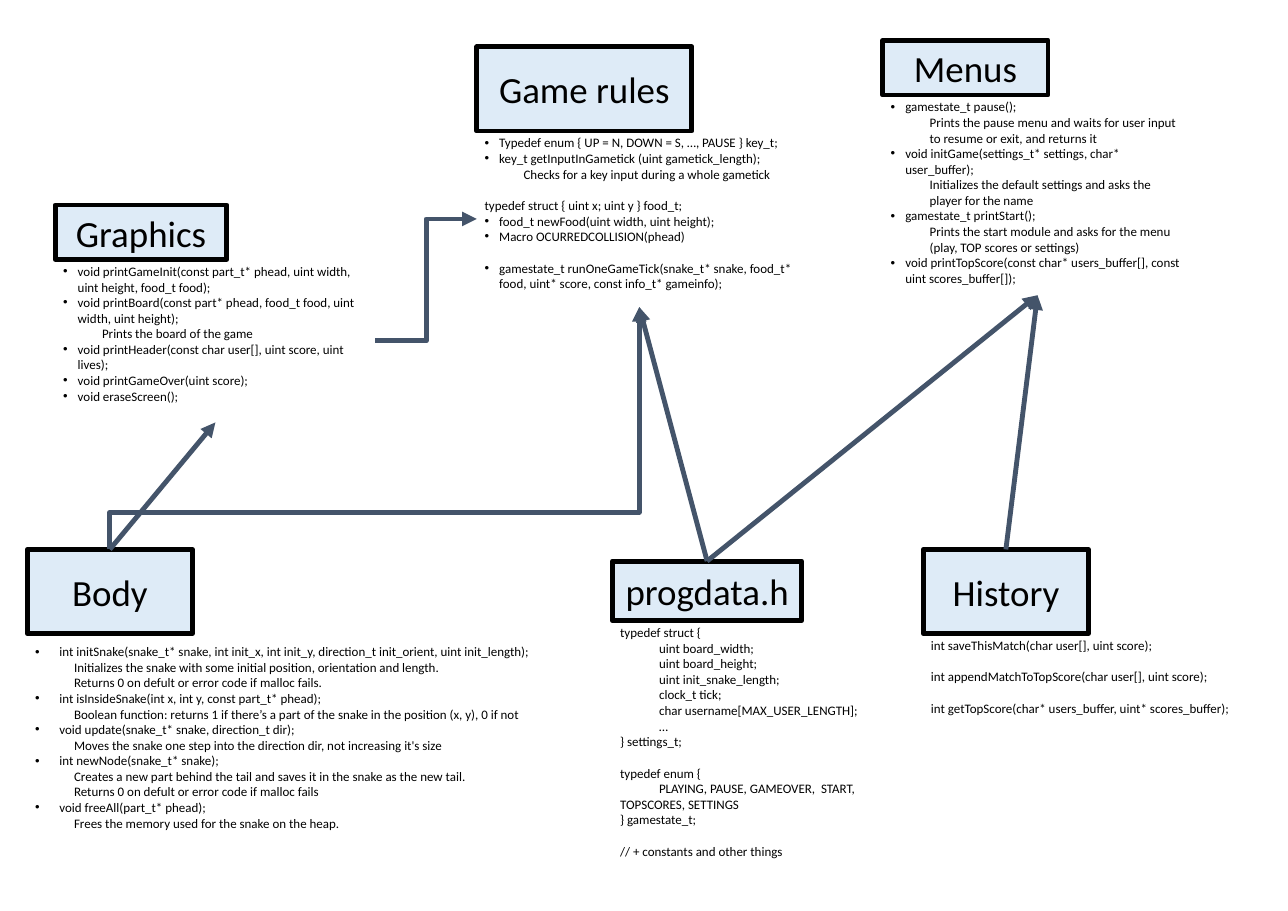
from dataclasses import dataclass
from enum import Enum
from typing import Any

import lxml.etree
import pptx
import pptx.dml.color
import pptx.enum.shapes
import pptx.enum.text
import pptx.oxml.ns
import pptx.util

Pt = pptx.util.Pt
qn = pptx.oxml.ns.qn
Anchor = pptx.enum.text.MSO_ANCHOR
Align = pptx.enum.text.PP_ALIGN
TOP, BOTTOM = 0, 2


@dataclass(frozen=True)
class Theme:
    font: str = "Calibri"
    heading_size: float = 34.1
    text_size: float = 12
    blank_line: float = 14.65
    border: float = 4.5
    indent: float = 36
    ink: str = "000000"
    box: str = "DEEBF7"
    arrow: str = "44546A"


class Kind(Enum):
    BULLET = "bullet"
    NOTE = "note"
    CODE = "code"
    MEMBER = "member"


@dataclass(frozen=True)
class Line:
    kind: Kind
    text: str
    gap: bool = False


@dataclass(frozen=True)
class Module:
    name: str
    left: float
    top: float
    width: float
    height: float
    list_width: float
    list_height: float
    lines: list[Line]
    hang: float = 13.5
    anchor: Any = Anchor.TOP


THEME = Theme()
BULLET, NOTE, CODE, MEMBER = Kind

MODULES = [
    Module("Body", 25.2, 507.6, 152.6, 77.8, 472.3, 191.5, [
        Line(BULLET, "int initSnake(snake_t* snake, int init_x, int init_y, direction_t init_orient, uint init_length);"),
        Line(NOTE, "Initializes the snake with some initial position, orientation and length."),
        Line(NOTE, "Returns 0 on defult or error code if malloc fails."),
        Line(BULLET, "int isInsideSnake(int x, int y, const part_t* phead);"),
        Line(NOTE, "Boolean function: returns 1 if there’s a part of the snake in the position (x, y), 0 if not"),
        Line(BULLET, "void update(snake_t* snake, direction_t dir);"),
        Line(NOTE, "Moves the snake one step into the direction dir, not increasing it's size"),
        Line(BULLET, "int newNode(snake_t* snake);"),
        Line(NOTE, "Creates a new part behind the tail and saves it in the snake as the new tail."),
        Line(NOTE, "Returns 0 on defult or error code if malloc fails"),
        Line(BULLET, "void freeAll(part_t* phead);"),
        Line(NOTE, "Frees the memory used for the snake on the heap."),
    ], hang=22.5, anchor=Anchor.MIDDLE),
    Module("Game rules", 440.6, 43.2, 198.7, 77.8, 300.2, 162.7, [
        Line(BULLET, "Typedef enum { UP = N, DOWN = S, …, PAUSE } key_t;"),
        Line(BULLET, "key_t getInputInGametick (uint gametick_length);"),
        Line(NOTE, "Checks for a key input during a whole gametick"),
        Line(CODE, "typedef struct { uint x; uint y } food_t;", gap=True),
        Line(BULLET, "food_t newFood(uint width, uint height);"),
        Line(BULLET, "Macro OCURREDCOLLISION(phead)"),
        Line(BULLET, "gamestate_t runOneGameTick(snake_t* snake, food_t* food, uint* score, const info_t* gameinfo);", gap=True),
    ]),
    Module("Graphics", 51.1, 189.4, 158.4, 50.4, 295.9, 150.5, [
        Line(BULLET, "void printGameInit(const part_t* phead, uint width, uint height, food_t food);"),
        Line(BULLET, "void printBoard(const part* phead, food_t food, uint width, uint height);"),
        Line(NOTE, "Prints the board of the game"),
        Line(BULLET, "void printHeader(const char user[], uint score, uint lives);"),
        Line(BULLET, "void printGameOver(uint score);"),
        Line(BULLET, "void eraseScreen();"),
    ]),
    Module("Menus", 815.8, 37.4, 152.6, 50.4, 285.8, 185, [
        Line(BULLET, "gamestate_t pause();"),
        Line(NOTE, "Prints the pause menu and waits for user input to resume or exit, and returns it"),
        Line(BULLET, "void initGame(settings_t* settings, char* user_buffer);"),
        Line(NOTE, "Initializes the default settings and asks the player for the name"),
        Line(BULLET, "gamestate_t printStart();"),
        Line(NOTE, "Prints the start module and asks for the menu (play, TOP scores or settings)"),
        Line(BULLET, "void printTopScore(const char* users_buffer[], const uint scores_buffer[]);"),
    ]),
    Module("progdata.h", 565.9, 518.4, 175, 55.2, 272.2, 225.4, [
        Line(CODE, "typedef struct {"),
        Line(MEMBER, "uint board_width;"),
        Line(MEMBER, "uint board_height;"),
        Line(MEMBER, "uint init_snake_length;"),
        Line(MEMBER, "clock_t tick;"),
        Line(MEMBER, "char username[MAX_USER_LENGTH];"),
        Line(MEMBER, "…"),
        Line(CODE, "} settings_t;"),
        Line(CODE, "typedef enum {", gap=True),
        Line(MEMBER, "PLAYING, PAUSE, GAMEOVER,  START, TOPSCORES, SETTINGS"),
        Line(CODE, "} gamestate_t;"),
        Line(CODE, "// + constants and other things", gap=True),
    ]),
    Module("History", 853.2, 507.6, 152.6, 77.8, 300.2, 86.4, [
        Line(CODE, "int saveThisMatch(char user[], uint score);"),
        Line(CODE, "int appendMatchToTopScore(char user[], uint score);", gap=True),
        Line(CODE, "int getTopScore(char* users_buffer, uint* scores_buffer);", gap=True),
    ]),
]
STRAIGHT_ARROWS = [("progdata.h", "Menus"), ("History", "Menus"),
                   ("progdata.h", "Game rules"), ("Body", "Graphics")]


def rgb(value: str) -> pptx.dml.color.RGBColor:
    return pptx.dml.color.RGBColor.from_string(value)


def set_all(obj: Any, values: dict[str, Any]) -> None:
    for name, value in values.items():
        setattr(obj, name, value)


def write(p: Any, text: str, size: float) -> None:
    r = p.add_run()
    r.text = text
    set_all(r.font, {"name": THEME.font, "size": Pt(size), "bold": False})
    r.font.color.rgb = rgb(THEME.ink)


def add_heading(s: Any, m: Module) -> Any:
    sp = s.shapes.add_shape(pptx.enum.shapes.MSO_SHAPE.RECTANGLE,
                            Pt(m.left), Pt(m.top), Pt(m.width), Pt(m.height))
    sp.shadow.inherit = False
    sp.fill.solid()
    sp.fill.fore_color.rgb = rgb(THEME.box)
    sp.line.color.rgb = rgb(THEME.ink)
    sp.line.width = Pt(THEME.border)
    sp.text_frame.vertical_anchor = Anchor.MIDDLE
    p = sp.text_frame.paragraphs[0]
    p.alignment = Align.CENTER
    write(p, m.name, THEME.heading_size)
    return sp


def format_line(p: Any, line: Line, hang: float) -> None:
    set_all(p, {"alignment": Align.LEFT, "line_spacing": 1.0, "space_after": Pt(0),
                "space_before": Pt(THEME.blank_line if line.gap else 0)})
    margin, first = {BULLET: (hang, -hang), NOTE: (THEME.indent, 0),
                     CODE: (0, 0), MEMBER: (0, THEME.indent)}[line.kind]
    pPr = p._p.get_or_add_pPr()
    pPr.set("marL", str(Pt(margin)))
    pPr.set("indent", str(Pt(first)))
    if line.kind is BULLET:
        lxml.etree.SubElement(pPr, qn("a:buFont"), typeface="Arial")
        lxml.etree.SubElement(pPr, qn("a:buChar"), char="•")
    else:
        lxml.etree.SubElement(pPr, qn("a:buNone"))


def fill_list(sp: Any, m: Module) -> None:
    """Place the list directly under its module heading and write its lines."""
    set_all(sp, {"left": Pt(m.left), "top": Pt(m.top + m.height),
                 "width": Pt(m.list_width), "height": Pt(m.list_height)})
    tf = sp.text_frame
    set_all(tf, {"word_wrap": True, "vertical_anchor": m.anchor,
                 "auto_size": pptx.enum.text.MSO_AUTO_SIZE.NONE})
    for i, line in enumerate(m.lines):
        p = tf.add_paragraph() if i else tf.paragraphs[0]
        format_line(p, line, m.hang)
        write(p, line.text, THEME.text_size)


def add_arrow(s: Any, kind: Any, x1: int, y1: int, x2: int, y2: int) -> Any:
    c = s.shapes.add_connector(kind, x1, y1, x2, y2)
    c.line.color.rgb = rgb(THEME.arrow)
    c.line.width = Pt(THEME.border)
    lxml.etree.SubElement(c.line._get_or_add_ln(), qn("a:tailEnd"), type="triangle")
    lxml.etree.SubElement(c._element.spPr, qn("a:effectLst"))
    return c


def add_rising_elbow(s: Any, x1: int, y1: int, x2: int, y2: int, bend: float) -> None:
    """Elbow that leaves upwards: a sideways elbow turned by 90 degrees."""
    cx, cy = (x1 + x2) // 2, (y1 + y2) // 2
    dx, dy = abs(y2 - y1) // 2, abs(x2 - x1) // 2
    c = add_arrow(s, pptx.enum.shapes.MSO_CONNECTOR.ELBOW, cx + dx, cy + dy, cx - dx, cy - dy)
    c._element.spPr.find(qn("a:xfrm")).set("rot", str(90 * 60000))
    guides = next(c._element.iter(qn("a:avLst")))
    lxml.etree.SubElement(guides, qn("a:gd"), name="adj1", fmla=f"val {round(bend * 100000)}")


def main() -> None:
    prs = pptx.Presentation()
    prs.slide_width, prs.slide_height = Pt(1190.16), Pt(841.68)
    s = prs.slides.add_slide(prs.slide_layouts.get_by_name("Comparison"))
    title = s.shapes.title.element
    title.getparent().remove(title)
    bodies = list(s.placeholders)

    heads, lists = {}, {}
    for m in MODULES:
        bulleted = any(line.kind is BULLET for line in m.lines)
        sp = bodies.pop(0) if bulleted else s.shapes.add_textbox(0, 0, 0, 0)
        fill_list(sp, m)
        heads[m.name], lists[m.name] = add_heading(s, m), sp

    for source, target in STRAIGHT_ARROWS:
        c = add_arrow(s, pptx.enum.shapes.MSO_CONNECTOR.STRAIGHT, 0, 0, 0, 0)
        c.begin_connect(heads[source], TOP)
        c.end_connect(lists[target], BOTTOM)

    body, rules, graphics = heads["Body"], lists["Game rules"], lists["Graphics"]
    add_rising_elbow(s, body.left + body.width // 2, body.top,
                     rules.left + rules.width // 2, rules.top + rules.height, 0.153)
    add_arrow(s, pptx.enum.shapes.MSO_CONNECTOR.ELBOW,
              graphics.left + graphics.width, graphics.top + graphics.height // 2,
              rules.left, rules.top + rules.height // 2)
    prs.save("out.pptx")


if __name__ == "__main__":
    main()
